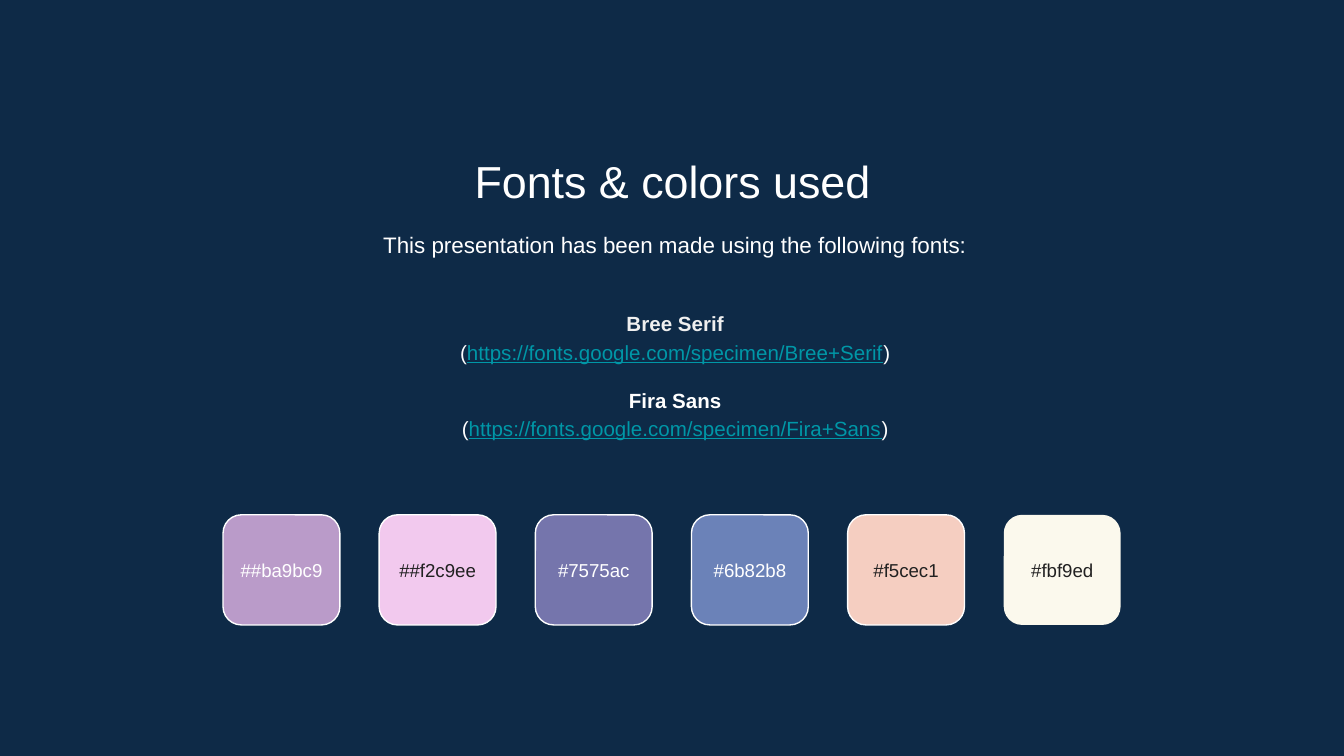
from pptx import Presentation
from pptx.dml.color import RGBColor
from pptx.enum.shapes import MSO_SHAPE as Shape
from pptx.enum.text import MSO_ANCHOR as Anchor, MSO_AUTO_SIZE as AutoSize, PP_ALIGN as Align
from pptx.util import Pt

NAVY = RGBColor(0x0E, 0x2A, 0x47)
WHITE = RGBColor(0xFF, 0xFF, 0xFF)
PALE = RGBColor(0xEF, 0xEF, 0xEF)
INK = RGBColor(0x21, 0x21, 0x21)
TEAL = RGBColor(0x00, 0x97, 0xA7)

SWATCHES = [
    ("##ba9bc9", RGBColor(0xBA, 0x9B, 0xC9), WHITE, True),
    ("##f2c9ee", RGBColor(0xF2, 0xC9, 0xEE), INK, True),
    ("#7575ac", RGBColor(0x75, 0x75, 0xAC), WHITE, True),
    ("#6b82b8", RGBColor(0x6B, 0x82, 0xB8), WHITE, True),
    ("#f5cec1", RGBColor(0xF5, 0xCE, 0xC1), INK, True),
    ("#fbf9ed", RGBColor(0xFB, 0xF9, 0xED), INK, False),
]
FONTS = [
    ("Bree Serif", "https://fonts.google.com/specimen/Bree+Serif", PALE, 0),
    ("Fira Sans", "https://fonts.google.com/specimen/Fira+Sans", WHITE, 10.6),
]
SWATCH_LEFT, SWATCH_STEP = 119.5, 83.65
SWATCH_WIDTH, SWATCH_HEIGHT, SWATCH_TOP = 62.6, 59, 275.8
LABEL_TOP, LABEL_HEIGHT = 288, 34.6


def set_attributes(target, values):
    for name, value in values.items():
        setattr(target, name, value)


def format_frame(frame, anchor):
    set_attributes(frame, {
        "word_wrap": True, "auto_size": AutoSize.NONE, "vertical_anchor": anchor,
        "margin_left": Pt(7.2), "margin_right": Pt(7.2),
        "margin_top": Pt(7.2), "margin_bottom": Pt(7.2),
    })


def add_box(page, left, top, width, height, anchor=Anchor.TOP):
    box = page.shapes.add_textbox(Pt(left), Pt(top), Pt(width), Pt(height))
    format_frame(box.text_frame, anchor)
    return box.text_frame


def format_para(para, spacing=1.0, before=0):
    set_attributes(para, {
        "alignment": Align.CENTER, "line_spacing": spacing,
        "space_before": Pt(before), "space_after": Pt(0),
    })


def add_span(para, text, size, color, bold=False, underline=False):
    span = para.add_run()
    span.text = text
    set_attributes(span.font, {
        "name": "Arial", "size": Pt(size), "bold": bold, "underline": underline,
    })
    span.font.color.rgb = color


def place_title(page, text):
    title = page.shapes.title
    set_attributes(title, {
        "left": Pt(82.8), "top": Pt(74.9), "width": Pt(555), "height": Pt(38.2),
    })
    format_frame(title.text_frame, Anchor.TOP)
    para = title.text_frame.paragraphs[0]
    format_para(para)
    add_span(para, text, 24, WHITE)


def add_intro(page, text):
    para = add_box(page, 84.2, 114.5, 555, 34.6).paragraphs[0]
    format_para(para, 1.15)
    add_span(para, text, 12, WHITE)


def add_font_list(page):
    frame = add_box(page, 84.2, 151.2, 555, 98.6, Anchor.MIDDLE)
    for index, (name, address, color, before) in enumerate(FONTS):
        heading = frame.add_paragraph() if index else frame.paragraphs[0]
        format_para(heading, 1.15, before)
        add_span(heading, name, 11, color, bold=True)
        para = frame.add_paragraph()
        format_para(para, 1.15)
        add_span(para, "(", 11, WHITE)
        add_span(para, address, 11, TEAL, underline=True)
        add_span(para, ")", 11, WHITE)


def add_swatch(page, left, label, fill, ink, outlined):
    swatch = page.shapes.add_shape(
        Shape.ROUNDED_RECTANGLE, Pt(left), Pt(SWATCH_TOP), Pt(SWATCH_WIDTH), Pt(SWATCH_HEIGHT))
    swatch.shadow.inherit = False
    swatch.fill.solid()
    swatch.fill.fore_color.rgb = fill
    if outlined:
        swatch.line.color.rgb = WHITE
        swatch.line.width = Pt(0.75)
    else:
        swatch.line.fill.background()
    frame = add_box(page, left, LABEL_TOP, SWATCH_WIDTH, LABEL_HEIGHT, Anchor.MIDDLE)
    para = frame.paragraphs[0]
    format_para(para)
    add_span(para, label, 10, ink)


def main():
    deck = Presentation()
    set_attributes(deck, {"slide_width": Pt(720), "slide_height": Pt(405)})
    page = deck.slides.add_slide(deck.slide_layouts[5])
    page.background.fill.solid()
    page.background.fill.fore_color.rgb = NAVY
    place_title(page, "Fonts & colors used")
    add_intro(page, "This presentation has been made using the following fonts:")
    add_font_list(page)
    for index, swatch in enumerate(SWATCHES):
        add_swatch(page, SWATCH_LEFT + index * SWATCH_STEP, *swatch)
    deck.save("out.pptx")


if __name__ == "__main__":
    main()
